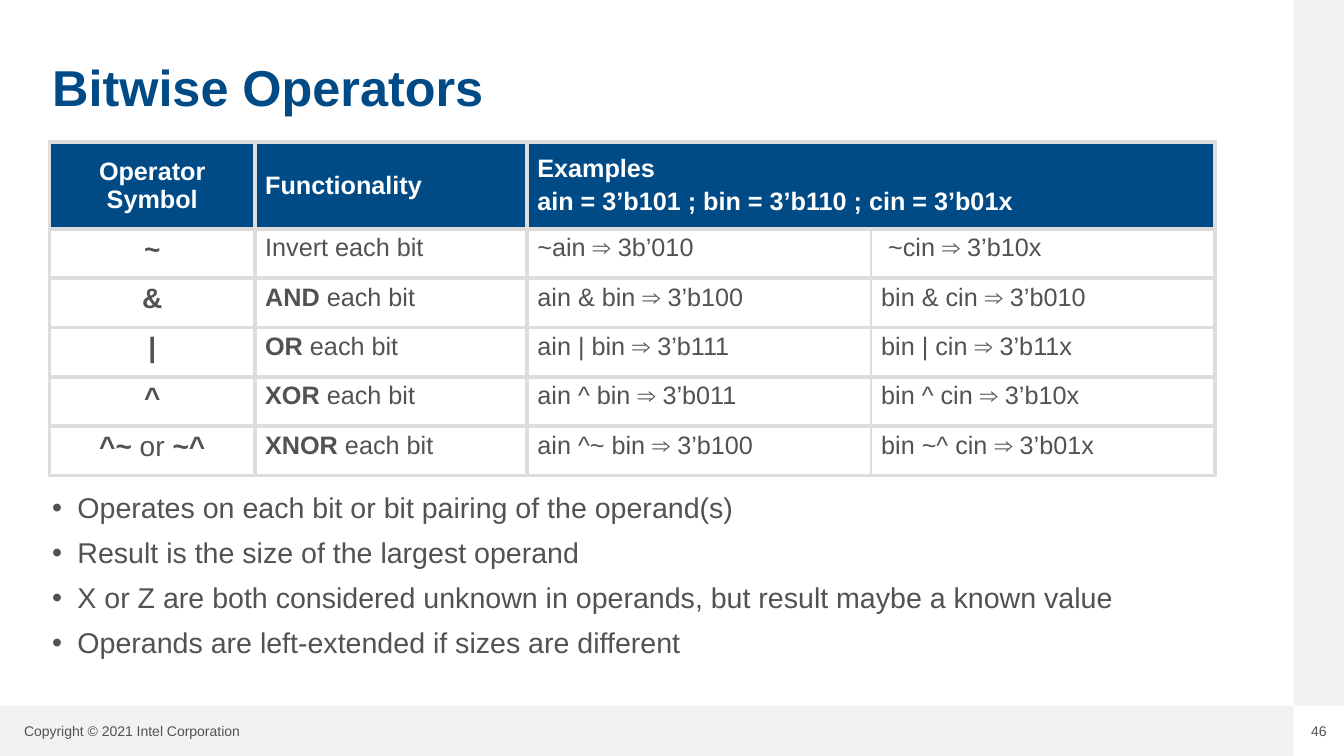
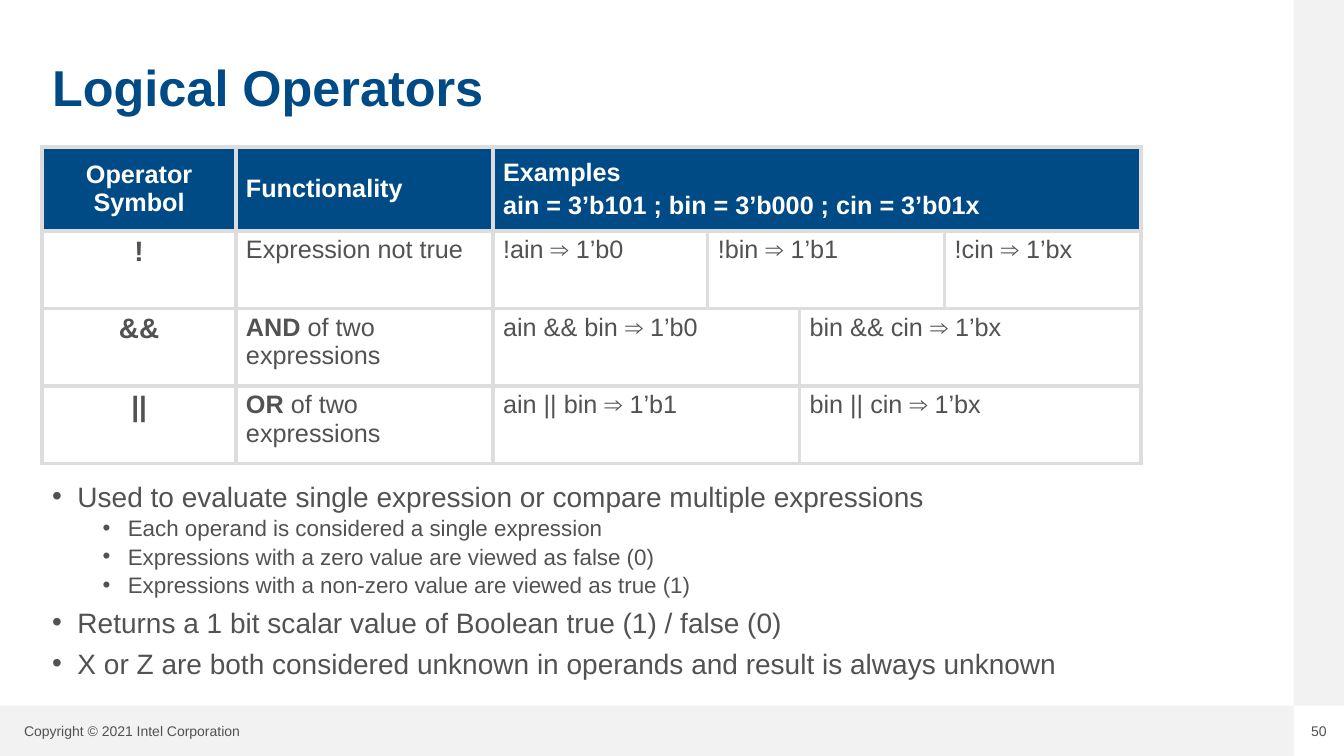
from lxml.etree import SubElement
from pptx import Presentation
from pptx.dml.color import RGBColor
from pptx.enum.shapes import MSO_SHAPE
from pptx.enum.text import MSO_ANCHOR, PP_ALIGN
from pptx.oxml.ns import qn
from pptx.util import Inches, Pt

COLORS = {
    "blue": "004A86",
    "text": "525252",
    "band": "F2F2F2",
    "grid": "DDDDDD",
    "white": "FFFFFF",
}
FONT = "Arial"
OUTER_LINE, INNER_LINE = 3, 2.21
FIRST_EXAMPLE_COLUMN = 2


def rgb(name):
    return RGBColor.from_string(COLORS[name])


def add_bullet(paragraph, level):
    props = paragraph._p.get_or_add_pPr()
    props.set("marL", str(Inches(0.25 + 0.5 * level)))
    props.set("indent", str(Inches(-0.25)))
    tint = SubElement(props, qn("a:buClr"))
    SubElement(tint, qn("a:srgbClr"), val=COLORS["text"])
    SubElement(props, qn("a:buFont"), typeface=FONT)
    SubElement(props, qn("a:buChar"), char="•")


def write(frame, text, size=18, color="text", bold=False, align=PP_ALIGN.LEFT,
          spacing=None, before=0, level=None):
    """Add one paragraph; ** toggles bold, and a level gives it a bullet."""
    is_first = not frame.text
    paragraph = frame.paragraphs[0] if is_first else frame.add_paragraph()
    if level is not None:
        paragraph.level = level
        add_bullet(paragraph, level)
    paragraph.alignment = align
    if spacing:
        paragraph.line_spacing = spacing
    if before and not is_first:
        paragraph.space_before = Pt(before)
    for index, part in enumerate(text.split("**")):
        if part:
            run = paragraph.add_run()
            run.text = part
            run.font.name = FONT
            run.font.size = Pt(size)
            run.font.bold = bold or index % 2 == 1
            run.font.color.rgb = rgb(color)


def set_borders(cell, widths):
    props = cell._tc.get_or_add_tcPr()
    for side, width in zip("LRTB", widths):
        line = SubElement(props, qn(f"a:ln{side}"), w=str(Pt(width)))
        fill = SubElement(line, qn("a:solidFill"))
        SubElement(fill, qn("a:srgbClr"), val=COLORS["grid"])


class Deck:
    def __init__(self):
        self.presentation = Presentation()
        self.presentation.slide_width = Inches(13.33)
        self.presentation.slide_height = Inches(7.5)
        self.slide = None

    def start_slide(self, title, number):
        """Open a slide with the shared bands, footer and title."""
        layout = self.presentation.slide_layouts[6]
        self.slide = self.presentation.slides.add_slide(layout)
        self.band(0, 7, 12.83, 0.5)
        self.band(12.83, 0, 0.5, 7)
        copyright_line = self.text_frame(0.14, 7.12, 2.67, 0.26, wrap=False)
        write(copyright_line, "Copyright © 2021 Intel Corporation", size=10)
        page = self.text_frame(12.83, 7.12, 0.5, 0.26, wrap=False)
        write(page, str(number), size=10, align=PP_ALIGN.CENTER)
        heading = self.text_frame(0.42, 0.24, 12, 1.31, MSO_ANCHOR.MIDDLE)
        write(heading, title, size=36, color="blue", bold=True, spacing=0.9)

    def band(self, left, top, width, height):
        band = self.slide.shapes.add_shape(
            MSO_SHAPE.RECTANGLE, *map(Inches, (left, top, width, height)))
        band.shadow.inherit = False
        band.fill.solid()
        band.fill.fore_color.rgb = rgb("band")
        band.line.fill.background()

    def text_frame(self, left, top, width, height, anchor=MSO_ANCHOR.TOP, wrap=True):
        box = self.slide.shapes.add_textbox(*map(Inches, (left, top, width, height)))
        box.text_frame.word_wrap = wrap
        box.text_frame.vertical_anchor = anchor
        return box.text_frame

    def bullets(self, left, top, width, height, items, sizes, spacing):
        """Write (level, text) items, with one size for each level."""
        frame = self.text_frame(left, top, width, height)
        for level, text in items:
            write(frame, text, size=sizes[level], spacing=spacing,
                  before=(10, 5)[level], level=level)

    def operator_table(self, left, top, widths, header_height, row_height,
                       operands, operators):
        """Draw operators given as symbol, functionality and (example, span) pairs."""
        heights = [header_height] + [row_height] * len(operators)
        table = self.slide.shapes.add_table(
            len(heights), len(widths),
            *map(Inches, (left, top, sum(widths), sum(heights)))).table
        table.first_row = table.horz_banding = False
        for column, width in zip(table.columns, widths):
            column.width = Inches(width)
        for row, height in zip(table.rows, heights):
            row.height = Inches(height)

        example_columns = len(widths) - FIRST_EXAMPLE_COLUMN
        header = ("Operator Symbol", "Functionality",
                  [(f"Examples\n{operands}", example_columns)])
        for row, (symbol, functionality, examples) in enumerate([header, *operators]):
            column = 0
            for text, span in [(symbol, 1), (functionality, 1), *examples]:
                self.operator_cell(table, row, column, span, text)
                column += span

    def operator_cell(self, table, row, column, span, text):
        is_header, is_symbol = row == 0, column == 0
        end = column + span
        left = INNER_LINE if column > FIRST_EXAMPLE_COLUMN else OUTER_LINE
        inner_right = FIRST_EXAMPLE_COLUMN < end < len(table.columns)
        right = INNER_LINE if inner_right else OUTER_LINE
        for part in range(column, end):
            cell = table.cell(row, part)
            set_borders(cell, (left, right, OUTER_LINE, OUTER_LINE))
            cell.fill.solid()
            cell.fill.fore_color.rgb = rgb("blue" if is_header else "white")
        cell = table.cell(row, column)
        if span > 1:
            cell.merge(table.cell(row, end - 1))
        cell.vertical_anchor = MSO_ANCHOR.MIDDLE if is_header else MSO_ANCHOR.TOP
        for line in text.split("\n"):
            write(cell.text_frame, line,
                  size=20 if is_symbol and not is_header else 18,
                  color="white" if is_header else "text", bold=is_header,
                  align=PP_ALIGN.CENTER if is_symbol else PP_ALIGN.LEFT, before=3.6)


def bitwise_operators(deck):
    deck.start_slide("Bitwise Operators", 46)
    deck.bullets(0.42, 4.85, 12.2, 1.98, [
        (0, "Operates on each bit or bit pairing of the operand(s)"),
        (0, "Result is the size of the largest operand"),
        (0, "X or Z are both considered unknown in operands, but result maybe a known value"),
        (0, "Operands are left-extended if sizes are different"),
    ], sizes=[20.4], spacing=0.9)
    deck.operator_table(
        0.49, 1.41, [2.04, 2.7, 3.41, 3.41], 0.86, 0.49,
        "ain = 3’b101 ; bin = 3’b110 ; cin = 3’b01x", [
            ("**~**", "Invert each bit",
             [("~ain ⇒ 3b’010", 1), (" ~cin ⇒ 3’b10x", 1)]),
            ("**&**", "**AND** each bit",
             [("ain & bin ⇒ 3’b100", 1), ("bin & cin ⇒ 3’b010", 1)]),
            ("**|**", "**OR** each bit",
             [("ain | bin ⇒ 3’b111", 1), ("bin | cin ⇒ 3’b11x", 1)]),
            ("**^**", "**XOR** each bit",
             [("ain ^ bin ⇒ 3’b011", 1), ("bin ^ cin ⇒ 3’b10x", 1)]),
            ("**^~** or **~^**", "**XNOR** each bit",
             [("ain ^~ bin ⇒ 3’b100", 1), ("bin ~^ cin ⇒ 3’b01x", 1)]),
        ])


def logical_operators(deck):
    deck.start_slide("Logical Operators", 50)
    deck.operator_table(
        0.42, 1.46, [1.92, 2.55, 2.13, 0.91, 1.44, 1.95], 0.83, 0.77,
        "ain = 3’b101 ; bin = 3’b000 ; cin = 3’b01x", [
            ("**!**", "Expression not true",
             [("!ain ⇒ 1’b0", 1), ("!bin ⇒ 1’b1", 2), ("!cin ⇒ 1’bx", 1)]),
            ("**&&**", "**AND** of two expressions",
             [("ain && bin ⇒ 1’b0", 2), ("bin && cin ⇒ 1’bx", 2)]),
            ("**||**", "**OR** of two expressions",
             [("ain || bin ⇒ 1’b1", 2), ("bin || cin ⇒ 1’bx", 2)]),
        ])
    deck.bullets(0.42, 4.77, 11.66, 2.35, [
        (0, "Used to evaluate single expression or compare multiple expressions"),
        (1, "Each operand is considered a single expression"),
        (1, "Expressions with a zero value are viewed as false (0)"),
        (1, "Expressions with a non-zero value are viewed as true (1)"),
        (0, "Returns a 1 bit scalar value of Boolean true (1) / false (0)"),
        (0, "X or Z are both considered unknown in operands and result is always unknown"),
    ], sizes=[20, 16], spacing=0.8)


def main():
    deck = Deck()
    bitwise_operators(deck)
    logical_operators(deck)
    deck.presentation.save("out.pptx")


if __name__ == "__main__":
    main()
